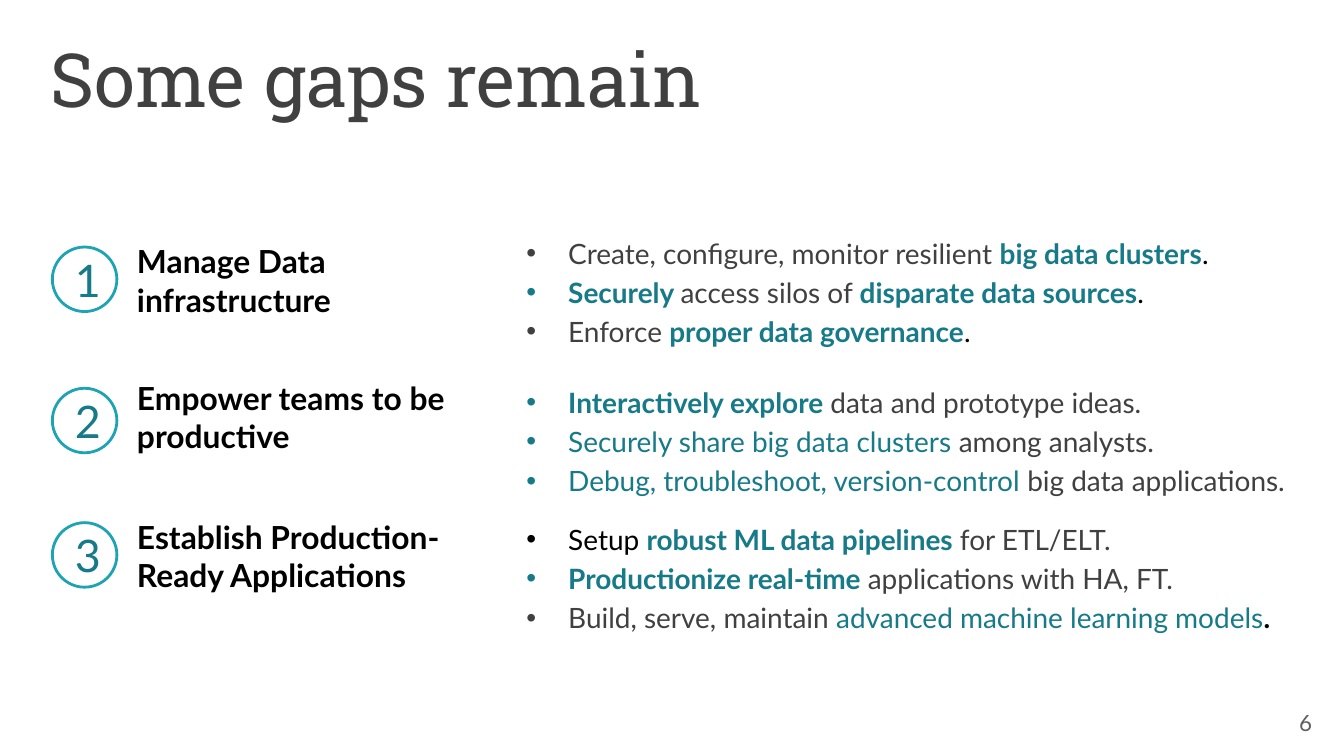
from typing import NamedTuple

from lxml.etree import SubElement
from pptx import Presentation
from pptx.dml.color import RGBColor
from pptx.enum.shapes import MSO_SHAPE as Shape
from pptx.enum.text import MSO_ANCHOR as Anchor, MSO_AUTO_SIZE as AutoSize, PP_ALIGN as Align
from pptx.oxml.ns import qn
from pptx.util import Cm, Pt

BLACK = RGBColor(0x00, 0x00, 0x00)
DARK = RGBColor(0x40, 0x40, 0x40)
GRAY = RGBColor(0x5F, 0x5F, 0x5F)
TEAL = RGBColor(0x17, 0x7A, 0x88)
RING = RGBColor(0x1E, 0xA3, 0xB5)

# Run styles: colour, bold
PLAIN = (DARK, False)
INK = (BLACK, False)
INK_BOLD = (BLACK, True)
ACCENT = (TEAL, False)
STRONG = (TEAL, True)


class Gap(NamedTuple):
    label: str
    label_top: float
    label_height: float
    bullets_top: float
    ring_top: float
    bullets: list


GAPS = [
    Gap("Manage Data \vinfrastructure", 3.99, 2.62, 4.34, 4.67, [
        [("Create, configure, monitor resilient ", PLAIN),
         ("big data clusters", STRONG), (".", INK)],
        [("Securely ", STRONG), ("access silos of ", PLAIN),
         ("disparate data sources", STRONG), (".", INK)],
        [("Enforce ", PLAIN), ("proper data governance", STRONG), (".", INK)],
    ]),
    Gap("Empower teams to be productive", 6.63, 2.51, 7.16, 7.34, [
        [("Interactively explore ", STRONG), ("data and prototype ideas.", PLAIN)],
        [("Securely share big data clusters ", ACCENT), ("among analysts.", PLAIN)],
        [("Debug, troubleshoot, version-control ", ACCENT),
         ("big data applications.", PLAIN)],
    ]),
    Gap("Establish Production-\vReady Applications", 9.27, 2.46, 9.75, 9.88, [
        [("Setup ", INK), ("robust ML data pipelines ", STRONG), ("for ETL/ELT.", PLAIN)],
        [("Productionize real-time ", STRONG), ("applications with HA, FT.", PLAIN)],
        [("Build, serve, maintain ", PLAIN),
         ("advanced machine learning models", ACCENT), (".", INK_BOLD)],
    ]),
]


def style_run(r, size, color, bold=False, font="Lato"):
    r.font.name = font
    r.font.size = Pt(size)
    r.font.bold = bold
    r.font.color.rgb = color


def fill_text(tf, text, size, color, bold=False, font="Lato",
              align=Align.LEFT, anchor=Anchor.MIDDLE):
    tf.word_wrap = True
    tf.vertical_anchor = anchor
    tf.text = text
    p = tf.paragraphs[0]
    p.alignment = align
    for r in p.runs:
        style_run(r, size, color, bold, font)


def add_text(shapes, left, top, width, height, *args, **kwargs):
    s = shapes.add_textbox(Cm(left), Cm(top), Cm(width), Cm(height))
    fill_text(s.text_frame, *args, **kwargs)
    return s.text_frame


def make_bullet(p):
    pPr = p._p.get_or_add_pPr()
    pPr.set("marL", str(Cm(0.79)))
    pPr.set("indent", str(Cm(-0.79)))
    SubElement(pPr, qn("a:buFont")).set("typeface", "Arial")
    SubElement(pPr, qn("a:buChar")).set("char", "•")
    p.space_after = Pt(3)


def add_bullets(shapes, top, bullets):
    tf = shapes.add_textbox(Cm(9.7), Cm(top), Cm(15.57), Cm(2.39)).text_frame
    tf.word_wrap = True
    tf.auto_size = AutoSize.SHAPE_TO_FIT_TEXT
    for i, runs in enumerate(bullets):
        p = tf.add_paragraph() if i else tf.paragraphs[0]
        make_bullet(p)
        for text, (color, bold) in runs:
            r = p.add_run()
            r.text = text
            style_run(r, 15, color, bold)


def add_number_ring(shapes, top, number):
    s = shapes.add_shape(Shape.OVAL, Cm(0.99), Cm(top), Cm(1.22), Cm(1.22))
    s.shadow.inherit = False
    s.fill.background()
    s.line.color.rgb = RING
    s.line.width = Pt(1.5)
    fill_text(s.text_frame, str(number), 24, TEAL, align=Align.CENTER)


def add_gap(slide, number, gap):
    """Add one numbered row: label, bullets and ring, grouped."""
    shapes = slide.shapes.add_group_shape().shapes
    tf = add_text(shapes, 2.59, gap.label_top, 7.92, gap.label_height,
                  gap.label, 17, BLACK, bold=True)
    tf.margin_left = tf.margin_right = 0
    add_bullets(shapes, gap.bullets_top, gap.bullets)
    add_number_ring(shapes, gap.ring_top, number)


def main():
    prs = Presentation()
    prs.slide_width, prs.slide_height = Cm(25.4), Cm(14.29)
    slide = prs.slides.add_slide(prs.slide_layouts[6])
    title = add_text(slide.shapes, 0.71, 0.58, 23.77, 2.39, "Some gaps remain", 40,
                     DARK, font="Roboto Slab", anchor=Anchor.TOP)
    title.margin_top = Cm(0.04)
    add_text(slide.shapes, 23.5, 13.28, 1.55, 0.76, "6", 12, GRAY, align=Align.RIGHT)
    for number, gap in enumerate(GAPS, 1):
        add_gap(slide, number, gap)
    prs.save("out.pptx")


if __name__ == "__main__":
    main()
